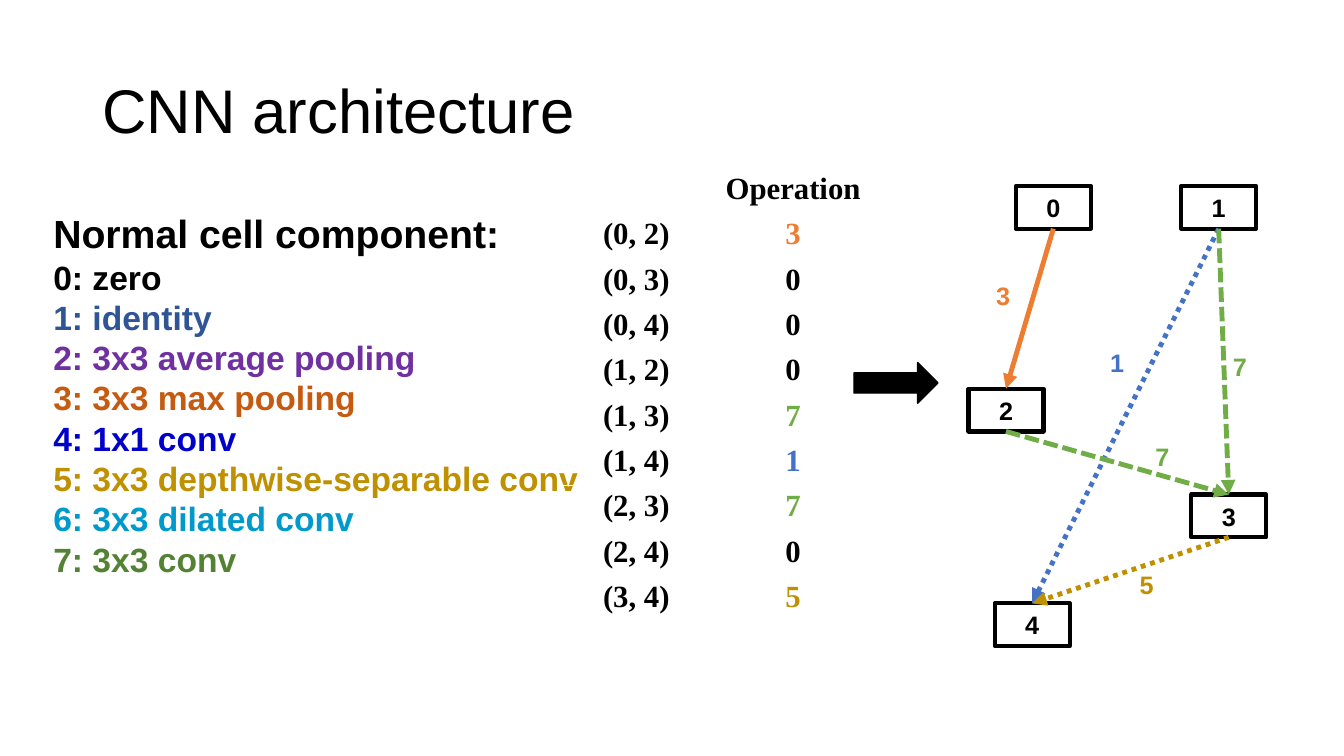
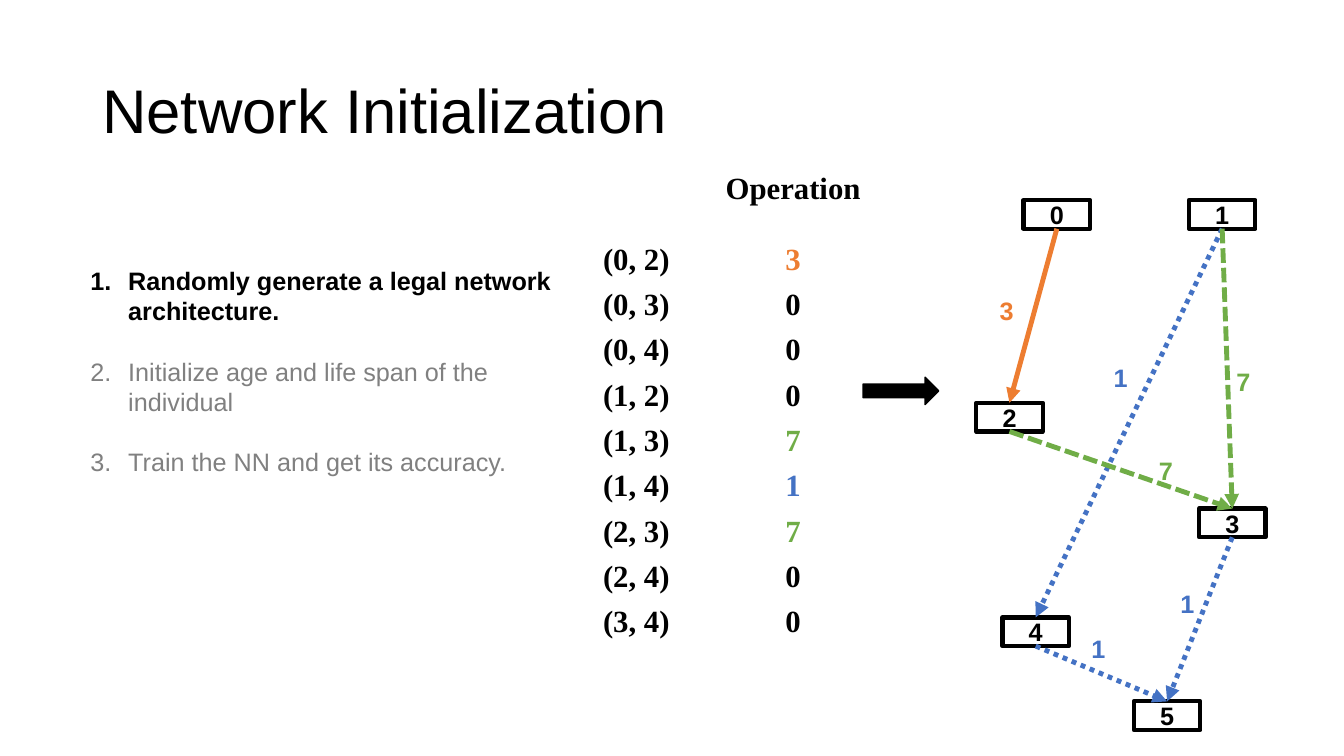
from lxml.etree import SubElement
from pptx import Presentation
from pptx.dml.color import RGBColor
from pptx.enum.dml import MSO_LINE as DASH
from pptx.enum.shapes import MSO_CONNECTOR as CONN, MSO_SHAPE as SHAPE
from pptx.enum.text import MSO_ANCHOR as ANCHOR, PP_ALIGN as ALIGN
from pptx.oxml.ns import qn
from pptx.util import Pt

# Shared look
BLACK, GREY = "000000", "808080"
SANS, SERIF = "Arial", "Times New Roman"
OP_COLORS = {1: "4472C4", 3: "ED7D31", 5: "BF9000", 7: "70AD47"}
OP_DASHES = {1: DASH.ROUND_DOT, 5: DASH.ROUND_DOT, 7: DASH.SQUARE_DOT}
TITLE_BOX = (66, 29, 828, 104)
GRAPH_ORIGIN = (690, 130)
TABLE_BOX = (398.5, 120, 224)
PAIRS = [(a, b) for a in range(4) for b in range(max(2, a + 1), 5)]

# Node number: centre x and bottom, relative to the graph origin
NODES = {0: (62.4, 33.4), 1: (180.5, 33.4), 2: (28.6, 178.2),
         3: (187.7, 253.8), 4: (47.3, 331.5)}
# From, to, operation, label centre, relative to the graph origin
EDGES = [(0, 2, 3, 26.4, 81.5), (1, 4, 1, 107.8, 129),
         (1, 3, 7, 195.6, 132), (2, 3, 7, 140.2, 196)]

COMPONENTS = [
    ("Normal cell component:", BLACK), ("0: zero", BLACK),
    ("1: identity", "2F5597"), ("2: 3x3 average pooling", "7030A0"),
    ("3: 3x3 max pooling", "C55A11"), ("4: 1x1 conv", "0000CC"),
    ("5: 3x3 depthwise-separable conv", "BF9000"),
    ("6: 3x3 dilated conv", "0099CC"), ("7: 3x3 conv", "548235")]
STEPS = ["Randomly generate a legal network architecture.",
         "Initialize age and life span of the individual",
         "Train the NN and get its accuracy."]


def rgb(value):
    return RGBColor.from_string(value)


def add_run(p, text, size=18, color=BLACK, bold=True, name=SANS):
    r = p.add_run()
    r.text = text
    for key, value in dict(size=Pt(size), bold=bold, name=name).items():
        setattr(r.font, key, value)
    r.font.color.rgb = rgb(color)


def add_text_box(s, x, y, w, h, anchor=ANCHOR.TOP):
    tf = s.shapes.add_textbox(Pt(x), Pt(y), Pt(w), Pt(h)).text_frame
    tf.word_wrap, tf.vertical_anchor = True, anchor
    return tf


def add_block(s, kind, x, y, w, h, line_width, fill=None):
    sp = s.shapes.add_shape(kind, Pt(x), Pt(y), Pt(w), Pt(h))
    sp.shadow.inherit = False
    if fill:
        sp.fill.solid()
        sp.fill.fore_color.rgb = rgb(fill)
    else:
        sp.fill.background()
    sp.line.color.rgb = rgb(BLACK)
    sp.line.width = Pt(line_width)
    return sp


def add_slide(prs, title):
    s = prs.slides.add_slide(prs.slide_layouts[6])
    p = add_text_box(s, *TITLE_BOX, ANCHOR.MIDDLE).paragraphs[0]
    p.line_spacing = 0.9
    add_run(p, title, 44, bold=False)
    return s


def add_components(s, x, y, w, h):
    tf = add_text_box(s, x, y, w, h)
    for i, (text, color) in enumerate(COMPONENTS):
        p = tf.add_paragraph() if i else tf.paragraphs[0]
        size = 24 if i else 28
        p.line_spacing = Pt(size * 1.2)
        add_run(p, text, size, color)


def add_steps(s, x, y, w, h):
    tf = add_text_box(s, x, y, w, h)
    for i, text in enumerate(STEPS):
        p = tf.add_paragraph() if i else tf.paragraphs[0]
        p.line_spacing = p.space_after = Pt(21.6)
        pPr = p._p.get_or_add_pPr()
        pPr.set("marL", str(Pt(27)))
        pPr.set("indent", str(-Pt(27)))
        SubElement(pPr, qn("a:buFont"), typeface="+mj-lt")
        SubElement(pPr, qn("a:buAutoNum"), type="arabicPeriod")
        add_run(p, text, color=GREY if i else BLACK, bold=not i)


def add_operations(s, x, y, w, head_height, ops, row_height=31.5):
    rows = [("", "Operation", BLACK)]
    rows += [(f"({a}, {b})", str(op), OP_COLORS.get(op, BLACK))
             for (a, b), op in zip(PAIRS, ops)]
    height = head_height + row_height * len(ops)
    table = s.shapes.add_table(len(rows), 2, Pt(x), Pt(y), Pt(w),
                               Pt(height)).table
    table.first_row = table.horz_banding = False
    for i, (pair, op, color) in enumerate(rows):
        table.rows[i].height = Pt(row_height if i else head_height)
        for j, (text, ink) in enumerate([(pair, BLACK), (op, color)]):
            cell = table.cell(i, j)
            cell.fill.background()
            cell.margin_top = cell.margin_bottom = Pt(3)
            p = cell.text_frame.paragraphs[0]
            p.alignment = ALIGN.CENTER
            if text:
                add_run(p, text, 22, ink, name=SERIF)


def add_edge(s, start, end, op):
    c = s.shapes.add_connector(CONN.STRAIGHT, 0, 0, 0, 0)
    c.begin_connect(start, 2)  # bottom middle
    c.end_connect(end, 0)      # top middle
    c.line.color.rgb = rgb(OP_COLORS[op])
    c.line.width = Pt(3.5)
    if op in OP_DASHES:
        c.line.dash_style = OP_DASHES[op]
    spPr = c.element.spPr
    SubElement(spPr.find(qn("a:ln")), qn("a:tailEnd"), type="triangle")
    SubElement(spPr, qn("a:effectLst"))


def add_graph(s, x, y, nodes, edges, node_w, node_h, label_shift=0):
    # Numbered nodes
    boxes = {}
    for n, (cx, bottom) in nodes.items():
        sp = add_block(s, SHAPE.RECTANGLE, x + cx - node_w / 2,
                       y + bottom - node_h, node_w, node_h, 3)
        tf = sp.text_frame
        tf.vertical_anchor = ANCHOR.MIDDLE
        tf.paragraphs[0].alignment = ALIGN.CENTER
        add_run(tf.paragraphs[0], str(n))
        boxes[n] = sp
    # Arrows with the number of their operation
    for a, b, op, cx, cy in edges:
        add_edge(s, boxes[a], boxes[b], op)
        tf = add_text_box(s, x + cx - 12, y + cy + label_shift - 14.5, 24, 29)
        p = tf.paragraphs[0]
        p.alignment = ALIGN.CENTER
        add_run(p, str(op), color=OP_COLORS[op])


def add_arrow(s, x, y, w, h):
    add_block(s, SHAPE.RIGHT_ARROW, x, y, w, h, 1, BLACK)


def build_architecture(prs):
    s = add_slide(prs, "CNN architecture")
    add_components(s, 31, 146, 393, 303)
    add_operations(s, *TABLE_BOX, 31.5, [3, 0, 0, 0, 7, 1, 7, 0, 5])
    add_arrow(s, 610, 259, 60, 29)
    add_graph(s, *GRAPH_ORIGIN, NODES, EDGES + [(3, 4, 5, 129, 287.5)],
              53.5, 30.5)


def build_initialization(prs):
    s = add_slide(prs, "Network Initialization")
    add_steps(s, 57.5, 186, 364, 160)
    add_operations(s, *TABLE_BOX, 50.5, [3, 0, 0, 0, 7, 1, 7, 0, 0])
    add_arrow(s, 616.5, 269.5, 54, 19.5)
    x, y = GRAPH_ORIGIN
    add_graph(s, x + 2.5, y, NODES | {5: (141.2, 391.5)},
              EDGES + [(4, 5, 1, 92, 323), (3, 5, 1, 155.5, 290.5)],
              47.5, 20.5, 10.5)


def main():
    prs = Presentation()
    prs.slide_width, prs.slide_height = Pt(960), Pt(540)
    build_architecture(prs)
    build_initialization(prs)
    prs.save("out.pptx")


if __name__ == "__main__":
    main()
